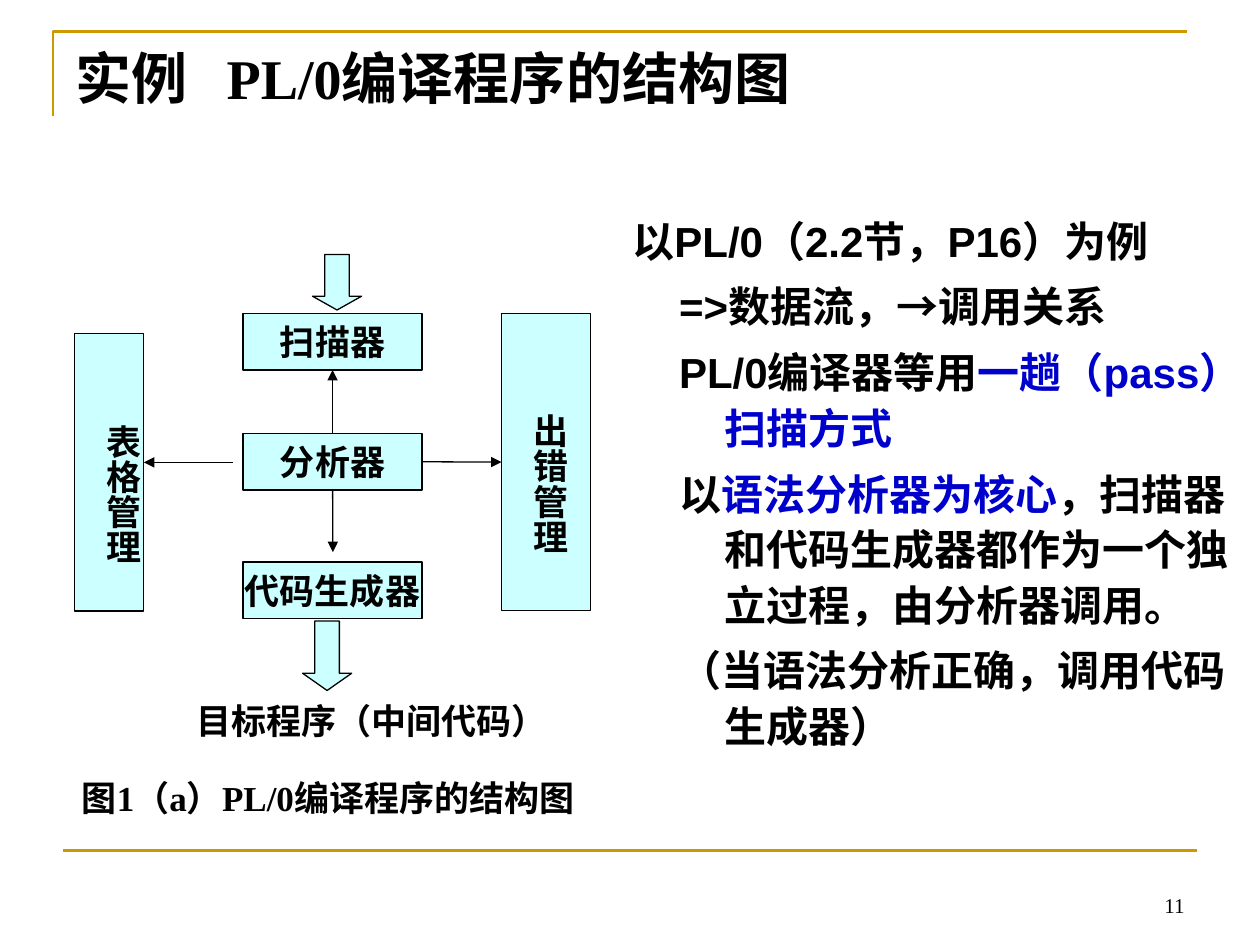
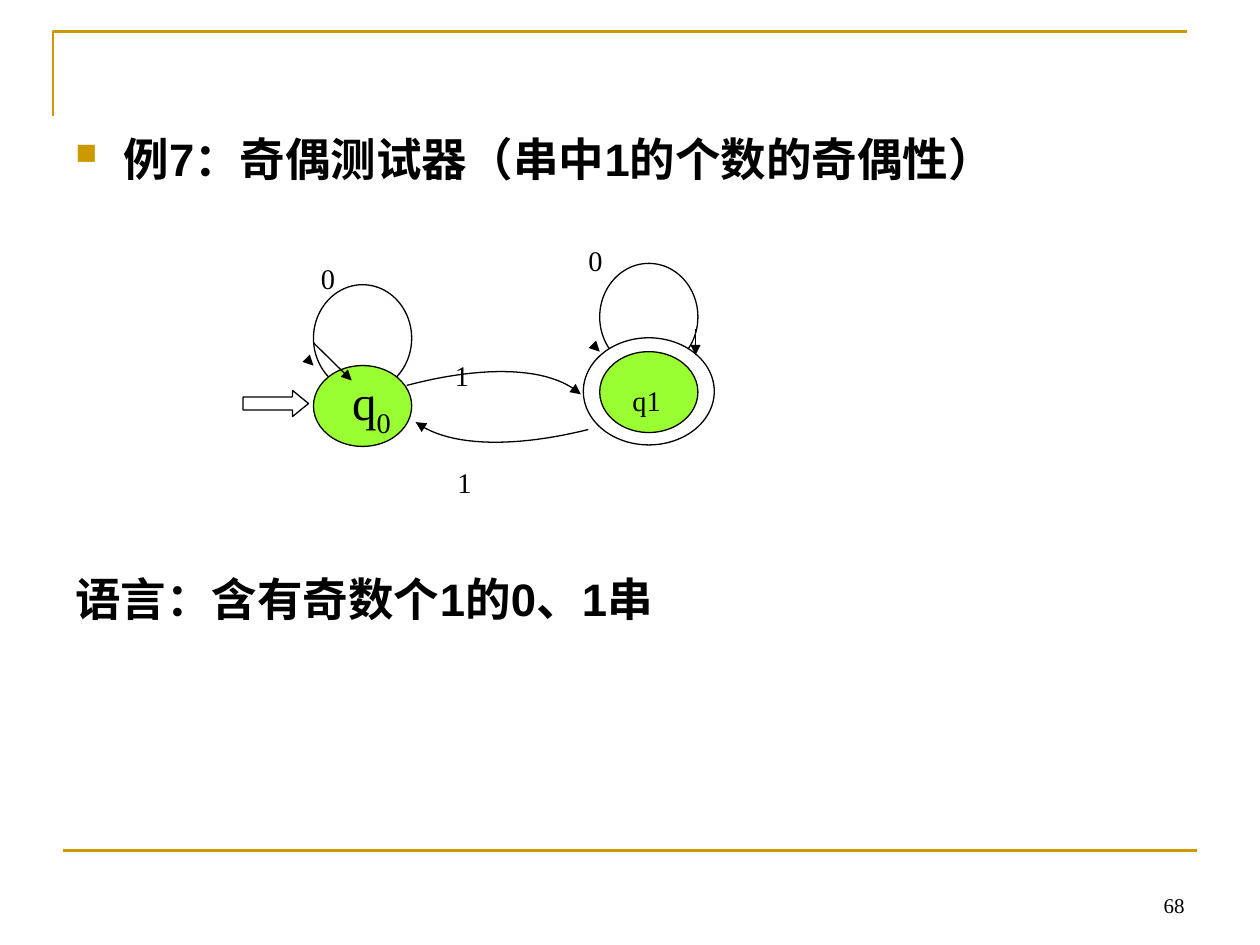
import dataclasses

import pptx
import pptx.dml.color
import pptx.enum.shapes
import pptx.enum.text
import pptx.oxml
import pptx.oxml.ns
import pptx.util

Cm = pptx.util.Cm
Pt = pptx.util.Pt
SHAPE = pptx.enum.shapes.MSO_SHAPE
ALIGN = pptx.enum.text.PP_ALIGN
ANCHOR = pptx.enum.text.MSO_ANCHOR
TOP, LEFT, BOTTOM, RIGHT = range(4)


@dataclasses.dataclass(frozen=True)
class Theme:
    gold: str = "CC9900"
    ink: str = "000000"
    paper: str = "FFFFFF"
    cyan: str = "CCFFFF"
    green: str = "99FF33"
    blue: str = "0000CC"
    serif: str = "Times New Roman"
    sans: str = "Arial"
    title: int = 32
    state: int = 28
    statement: int = 26
    body: int = 24
    label: int = 20
    number: int = 12
    thin: float = 0.75
    rule: float = 1.5


THEME = Theme()


def rgb(value):
    return pptx.dml.color.RGBColor.from_string(value)


def add_xml(parent, tag, **attributes):
    child = pptx.oxml.parse_xml(f"<a:{tag} {pptx.oxml.ns.nsdecls('a')}/>")
    for name, value in attributes.items():
        child.set(name, str(value))
    parent.append(child)
    return child


# Text
def write(para, text, size=THEME.label, font=THEME.serif, color=THEME.ink,
          bold=False, lowered=False):
    span = para.add_run()
    span.text = text
    span.font.size = Pt(size)
    span.font.name = font
    span.font.bold = bold
    span.font.color.rgb = rgb(color)
    if lowered:
        span.font._element.set("baseline", "-25000")
    return span


def set_indent(para, left, first):
    properties = para._p.get_or_add_pPr()
    properties.set("marL", str(Cm(left)))
    properties.set("indent", str(Cm(first)))
    return properties


def add_text_box(page, place, wrap=True, anchor=ANCHOR.TOP, align=ALIGN.LEFT):
    box = page.shapes.add_textbox(*map(Cm, place))
    frame = box.text_frame
    frame.word_wrap = wrap
    frame.vertical_anchor = anchor
    frame.paragraphs[0].alignment = align
    return box


def add_label(page, text, place, wrap=True, align=ALIGN.LEFT, **style):
    box = add_text_box(page, place, wrap, align=align)
    write(box.text_frame.paragraphs[0], text, **style)


def write_vertical(box, text):
    frame = box.text_frame
    frame.word_wrap = False
    frame.vertical_anchor = ANCHOR.TOP
    frame.margin_left = frame.margin_right = Cm(0.13)
    frame.margin_top = frame.margin_bottom = Cm(0.25)
    frame._txBody.bodyPr.set("vert", "eaVert")
    para = frame.paragraphs[0]
    para.alignment = ALIGN.LEFT
    write(para, text, bold=True)


# Shapes and lines
def add_figure(page, kind, place, fill=THEME.cyan, outlined=True):
    figure = page.shapes.add_shape(kind, *map(Cm, place))
    figure.shadow.inherit = False
    figure.fill.solid()
    figure.fill.fore_color.rgb = rgb(fill)
    if outlined:
        set_line(figure.line)
    else:
        figure.line.fill.background()
    return figure


def set_line(line, color=THEME.ink, width=THEME.thin, arrow=False):
    line.color.rgb = rgb(color)
    line.width = Pt(width)
    if arrow:
        add_xml(line._get_or_add_ln(), "tailEnd", type="triangle")


def add_block_arrow(page, kind, place, head, fill):
    arrow = add_figure(page, kind, place, fill)
    arrow.adjustments[1] = head


def add_straight(page, start, end, **style):
    straight = page.shapes.add_connector(
        pptx.enum.shapes.MSO_CONNECTOR.STRAIGHT, *map(Cm, start + end))
    set_line(straight.line, **style)
    add_xml(straight._element.spPr, "effectLst")
    return straight


def add_outline(page, points, **style):
    points = [(Cm(x), Cm(y)) for x, y in points]
    builder = page.shapes.build_freeform(*points[0])
    builder.add_line_segments(points[1:], close=False)
    outline = builder.convert_to_shape()
    outline.shadow.inherit = False
    outline.fill.background()
    set_line(outline.line, **style)


def curve_points(start, first, second, end, steps=24):
    points = []
    for step in range(steps + 1):
        t = step / steps
        weights = ((1 - t) ** 3, 3 * t * (1 - t) ** 2, 3 * t * t * (1 - t), t ** 3)
        corners = (start, first, second, end)
        points.append(tuple(sum(w * c[axis] for w, c in zip(weights, corners))
                            for axis in (0, 1)))
    return points


# Parts shared by the slides
def add_page(deck, number):
    page = deck.slides.add_slide(deck.slide_layouts[6])
    add_outline(page, [(1.07, 2.34), (1.07, 0.64), (23.93, 0.64)],
                color=THEME.gold, width=THEME.rule)
    add_straight(page, (1.27, 17.15), (24.13, 17.15),
                 color=THEME.gold, width=THEME.rule)
    box = add_text_box(page, (18.21, 17.35, 5.92, 1.27),
                       anchor=ANCHOR.BOTTOM, align=ALIGN.RIGHT)
    write(box.text_frame.paragraphs[0], str(number), size=THEME.number)
    return page


# Compiler structure
def add_title(page):
    box = add_text_box(page, (1.27, 0.76, 22.86, 1.75))
    para = box.text_frame.paragraphs[0]
    stops = add_xml(para._p.get_or_add_pPr(), "tabLst")
    add_xml(stops, "tab", pos=Cm(3.05), algn="l")
    write(para, "实例\tPL/0编译程序的结构图", size=THEME.title, bold=True)


def add_stage(page, text, top):
    stage = add_figure(page, SHAPE.RECTANGLE, (4.9, top, 3.61, 1.14))
    stage.text_frame.word_wrap = False
    stage.text_frame.vertical_anchor = ANCHOR.MIDDLE
    para = stage.text_frame.paragraphs[0]
    para.alignment = ALIGN.CENTER
    write(para, text, bold=True)
    return stage


def add_structure_diagram(page):
    scanner = add_stage(page, "扫描器", 6.32)
    analyser = add_stage(page, "分析器", 8.74)
    add_stage(page, "代码生成器", 11.33)
    add_block_arrow(page, SHAPE.DOWN_ARROW, (6.3, 5.13, 0.99, 1.12), 0.28, THEME.cyan)
    add_block_arrow(page, SHAPE.DOWN_ARROW, (6.1, 12.52, 0.99, 1.4), 0.35, THEME.cyan)
    add_figure(page, SHAPE.RECTANGLE, (1.5, 6.73, 1.4, 5.59))
    errors = add_figure(page, SHAPE.RECTANGLE, (10.11, 6.32, 1.8, 5.99))

    # Calls made by the analyser
    add_straight(page, (4.7, 9.32), (2.9, 9.32), arrow=True)
    to_errors = add_straight(page, (8.51, 9.31), (10.11, 9.31), arrow=True)
    to_errors.begin_connect(analyser, RIGHT)
    to_errors.end_connect(errors, LEFT)
    to_generator = add_straight(page, (6.71, 9.9), (6.71, 11.13), arrow=True)
    to_generator.begin_connect(analyser, BOTTOM)
    to_scanner = add_straight(page, (6.71, 8.74), (6.71, 7.5), arrow=True)
    to_scanner.begin_connect(analyser, TOP)
    to_scanner.end_connect(scanner, BOTTOM)

    # Labels
    write_vertical(add_text_box(page, (1.68, 8.31, 1.35, 3.1)), "表格管理")
    write_vertical(add_figure(page, SHAPE.RECTANGLE, (10.29, 8.1, 1.35, 3.1),
                              outlined=False), "出错管理")
    add_label(page, "目标程序（中间代码）", (3.71, 13.97, 7.57, 1.12),
              wrap=False, bold=True)
    add_label(page, "图1（a）PL/0编译程序的结构图", (1.4, 15.52, 11.46, 1.12),
              wrap=False, bold=True)


def add_explanation(page):
    ink, blue = THEME.ink, THEME.blue
    lines = [
        [("以PL/0（2.2节，P16）为例", ink)],
        [("=>数据流，→调用关系", ink)],
        [("PL/0编译器等用", ink), ("一趟（pass）扫描方式", blue)],
        [("以", ink), ("语法分析器为核心", blue),
         ("，扫描器和代码生成器都作为一个独立过程，由分析器调用。", ink)],
        [("（当语法分析正确，调用代码生成器）", ink)],
    ]
    frame = add_text_box(page, (12.5, 4.11, 12.9, 12.57)).text_frame
    for index, spans in enumerate(lines):
        para = frame.add_paragraph() if index else frame.paragraphs[0]
        para.line_spacing = 1.1
        if index:
            para.level = 1
            para.space_before = Pt(6)
            set_indent(para, 1.85, -0.91)
        else:
            set_indent(para, 0.97, -0.97)
        for text, color in spans:
            write(para, text, size=THEME.body, font=THEME.sans, color=color, bold=True)


# Parity automaton
def add_statement(page, text, top, bullet=False):
    box = add_text_box(page, (1.27, top, 22.86, 1.4))
    para = box.text_frame.paragraphs[0]
    para.line_spacing = 0.8
    properties = set_indent(para, 0.97, -0.97)
    if bullet:
        color = add_xml(properties, "buClr")
        add_xml(color, "srgbClr", val=THEME.gold)
        add_xml(properties, "buSzPct", val=65000)
        add_xml(properties, "buChar", char="■")
    write(para, text, size=THEME.statement, font=THEME.sans, bold=True)


def add_symbol(page, text, left, top, width=3.3):
    add_label(page, text, (left, top, width, 1.65), size=THEME.state, lowered=True)


def add_state(page, left, top, loop_top, final=False):
    add_figure(page, SHAPE.OVAL, (left, loop_top, 1.98, 2.16), THEME.paper)
    if final:
        add_figure(page, SHAPE.OVAL, (left - 0.33, top - 0.28, 2.64, 2.16), THEME.paper)
    add_figure(page, SHAPE.OVAL, (left, top, 1.98, 1.63), THEME.green)
    add_straight(page, (left - 0.02, top - 0.02), (left, top), arrow=True)


def add_automaton(page):
    add_block_arrow(page, SHAPE.RIGHT_ARROW, (4.9, 7.87, 1.32, 0.53), 0.61, THEME.paper)
    add_state(page, 6.32, 7.37, 5.74)
    add_state(page, 12.09, 7.09, 5.31, final=True)
    add_straight(page, (6.32, 6.91), (7.09, 7.67), arrow=True)
    add_straight(page, (14.02, 6.63), (14.02, 7.16), arrow=True)

    # State names
    box = add_text_box(page, (6.5, 7.37, 1.98, 1.63), align=ALIGN.CENTER)
    para = box.text_frame.paragraphs[0]
    write(para, "q", size=THEME.state)
    write(para, "0", size=THEME.state, lowered=True)
    add_symbol(page, "q1", 12.5, 6.93, width=1.98)

    # Transitions between the states
    there = curve_points((8.2, 7.77), (9.8, 7.35), (11.1, 7.4), (11.71, 7.95))
    back = curve_points((11.86, 8.66), (10.5, 9.0), (9.1, 9.05), (8.38, 8.51))
    for points in (there, back):
        add_outline(page, points, arrow=True)
    for text, left, top in (("0", 6.22, 4.47), ("0", 11.61, 4.11),
                            ("1", 8.92, 6.43), ("1", 8.97, 8.59)):
        add_symbol(page, text, left, top)


def main():
    deck = pptx.Presentation()
    deck.slide_width, deck.slide_height = Cm(25.4), Cm(19.05)

    structure = add_page(deck, 11)
    add_title(structure)
    add_structure_diagram(structure)
    add_explanation(structure)

    parity = add_page(deck, 68)
    add_statement(parity, "例7：奇偶测试器（串中1的个数的奇偶性）", 2.72, bullet=True)
    add_automaton(parity)
    add_statement(parity, "语言：含有奇数个1的0、1串", 11.6)

    deck.save("out.pptx")


if __name__ == "__main__":
    main()
